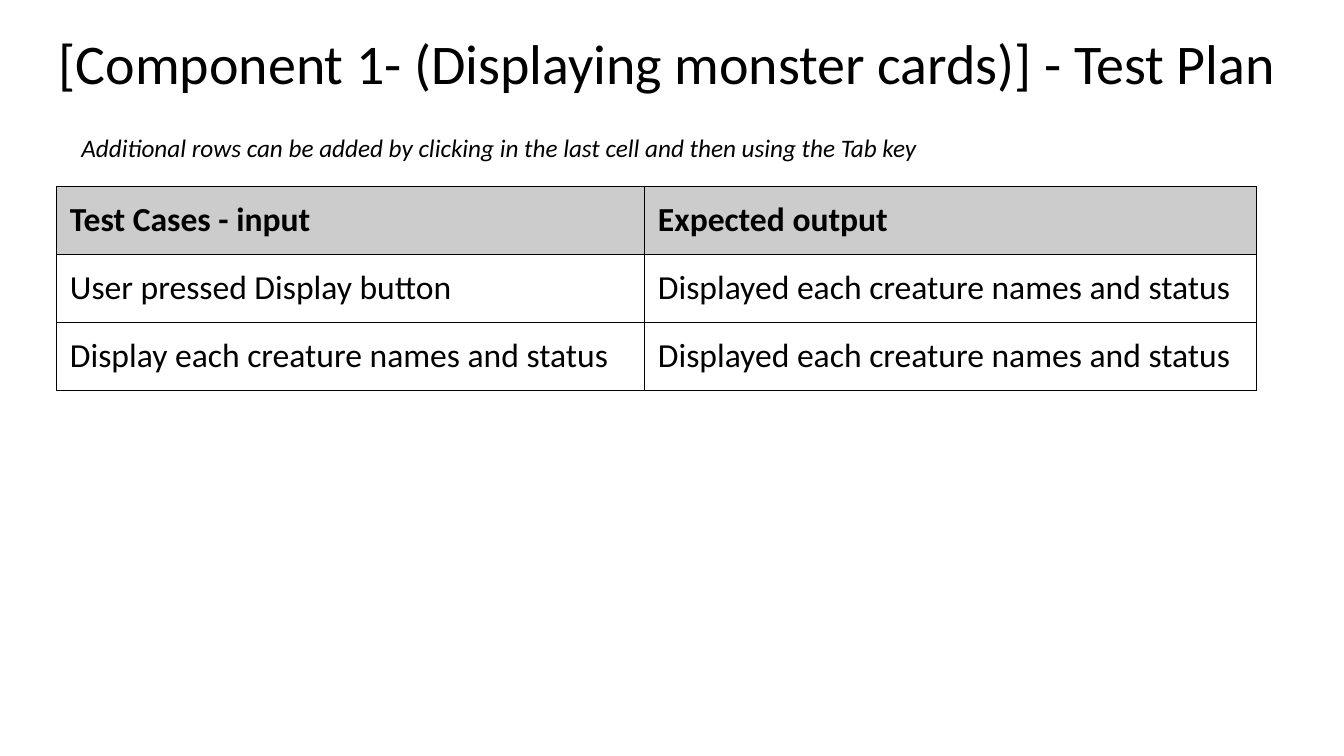
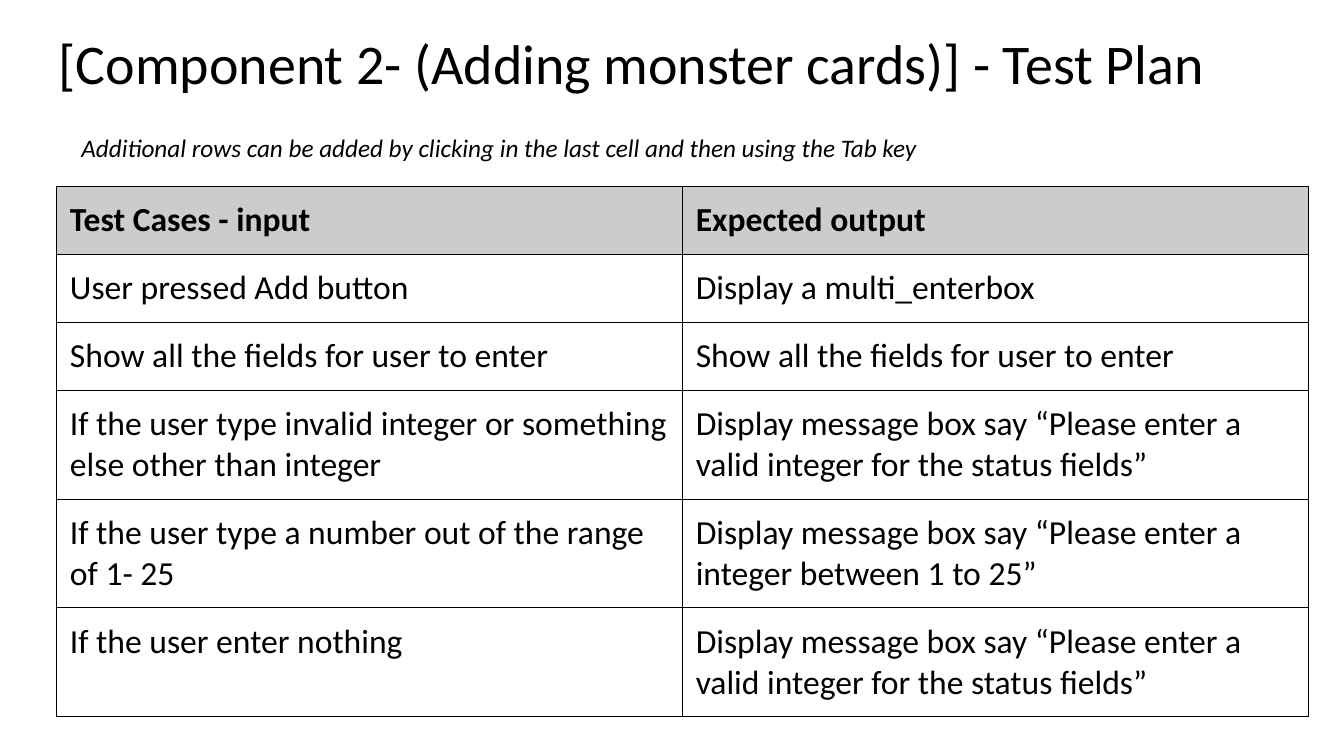
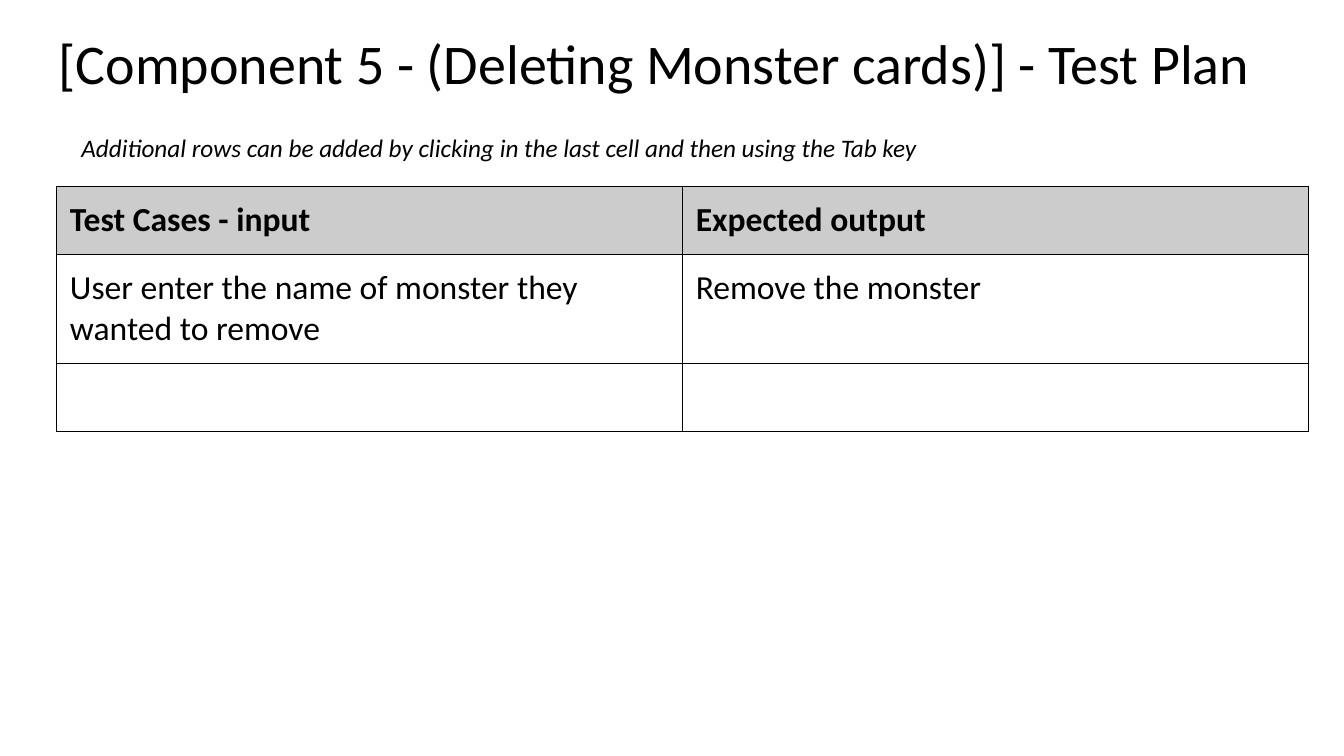
from lxml import etree
from pptx import Presentation
from pptx.dml.color import RGBColor
from pptx.enum.text import MSO_ANCHOR, MSO_AUTO_SIZE, PP_ALIGN
from pptx.oxml.ns import qn
from pptx.util import Pt

LEFT = PP_ALIGN.LEFT
TOP = MSO_ANCHOR.TOP
MIDDLE = MSO_ANCHOR.MIDDLE
NO_AUTOFIT = MSO_AUTO_SIZE.NONE
GROW = MSO_AUTO_SIZE.SHAPE_TO_FIT_TEXT

BLACK = RGBColor(0x00, 0x00, 0x00)
HEADER_GREY = RGBColor(0xCC, 0xCC, 0xCC)
FONT = "Calibri"
MARGIN = Pt(9.6)
ROW_HEIGHT = Pt(48)
BORDER = Pt(0.75)
TITLE_ONLY = 5

HEADER = ("Test Cases - input", "Expected output")
NOTE = "Additional rows can be added by clicking in the last cell and then using the Tab key"
STATUS_SHOWN = "Displayed each creature names and status"
INVALID_INTEGER = "Display message box say “Please enter a valid integer for the status fields”"

TEST_PLANS = [
    ("[Component 1- (Displaying monster cards)] - Test Plan", (420, 437), [
        ("User pressed Display button", STATUS_SHOWN),
        ("Display each creature names and status", STATUS_SHOWN),
    ]),
    ("[Component 2- (Adding monster cards)] - Test Plan", (447, 447), [
        ("User pressed Add button", "Display a multi_enterbox"),
        ("Show all the fields for user to enter", "Show all the fields for user to enter"),
        ("If the user type invalid integer or something else other than integer", INVALID_INTEGER),
        ("If the user type a number out of the range of 1- 25",
         "Display message box say “Please enter a integer between 1 to 25”"),
        ("If the user enter nothing", INVALID_INTEGER),
    ]),
    ("[Component 5 - (Deleting Monster cards)] - Test Plan", (447, 447), [
        ("User enter the name of monster they wanted to remove", "Remove the monster"),
        ("", ""),
    ]),
]


def style_text(paragraph, size, bold=False, italic=False):
    paragraph.alignment = LEFT
    font = paragraph.font
    font.name = FONT
    font.size = Pt(size)
    font.bold = bold
    font.italic = italic
    font.color.rgb = BLACK


def set_margins(target):
    target.margin_left = target.margin_right = MARGIN
    target.margin_top = target.margin_bottom = MARGIN


def add_title(slide, text):
    title = slide.shapes.title
    title.left, title.top, title.width, title.height = Pt(32.4), Pt(17.3), Pt(894), Pt(60.5)
    frame = title.text_frame
    frame.text = text
    frame.auto_size = NO_AUTOFIT
    frame.vertical_anchor = MIDDLE
    set_margins(frame)
    heading = frame.paragraphs[0]
    heading.line_spacing = 0.9
    style_text(heading, 40)


def add_note(slide):
    note = slide.shapes.add_textbox(Pt(51), Pt(90.7), Pt(788), Pt(29))
    frame = note.text_frame
    frame.word_wrap = True
    frame.auto_size = GROW
    frame.text = NOTE
    style_text(frame.paragraphs[0], 18, italic=True)


def add_borders(cell):
    properties = cell._tc.get_or_add_tcPr()
    for index, side in enumerate(("a:lnL", "a:lnR", "a:lnT", "a:lnB")):
        line = etree.Element(qn(side), w=str(BORDER))
        fill = etree.SubElement(line, qn("a:solidFill"))
        etree.SubElement(fill, qn("a:srgbClr"), val=str(BLACK))
        properties.insert(index, line)


def fill_cell(cell, text, is_header):
    cell.text = text
    cell.vertical_anchor = TOP
    set_margins(cell)
    style_text(cell.text_frame.paragraphs[0], 24, bold=is_header)
    if is_header:
        cell.fill.solid()
        cell.fill.fore_color.rgb = HEADER_GREY
    else:
        cell.fill.background()
    add_borders(cell)


def add_test_table(slide, column_widths, cases):
    rows = [HEADER, *cases]
    table = slide.shapes.add_table(
        len(rows), len(HEADER), Pt(40.4), Pt(133.3),
        Pt(sum(column_widths)), ROW_HEIGHT * len(rows)).table
    table.first_row = False
    table.horz_banding = False
    for column, width in zip(table.columns, column_widths):
        column.width = Pt(width)
    for row_index, row in enumerate(rows):
        table.rows[row_index].height = ROW_HEIGHT
        for column_index, text in enumerate(row):
            fill_cell(table.cell(row_index, column_index), text, row_index == 0)


def main():
    deck = Presentation()
    deck.slide_width, deck.slide_height = Pt(960), Pt(540)
    for title, column_widths, cases in TEST_PLANS:
        slide = deck.slides.add_slide(deck.slide_layouts[TITLE_ONLY])
        add_title(slide, title)
        add_test_table(slide, column_widths, cases)
        add_note(slide)
    deck.save("out.pptx")


if __name__ == "__main__":
    main()
